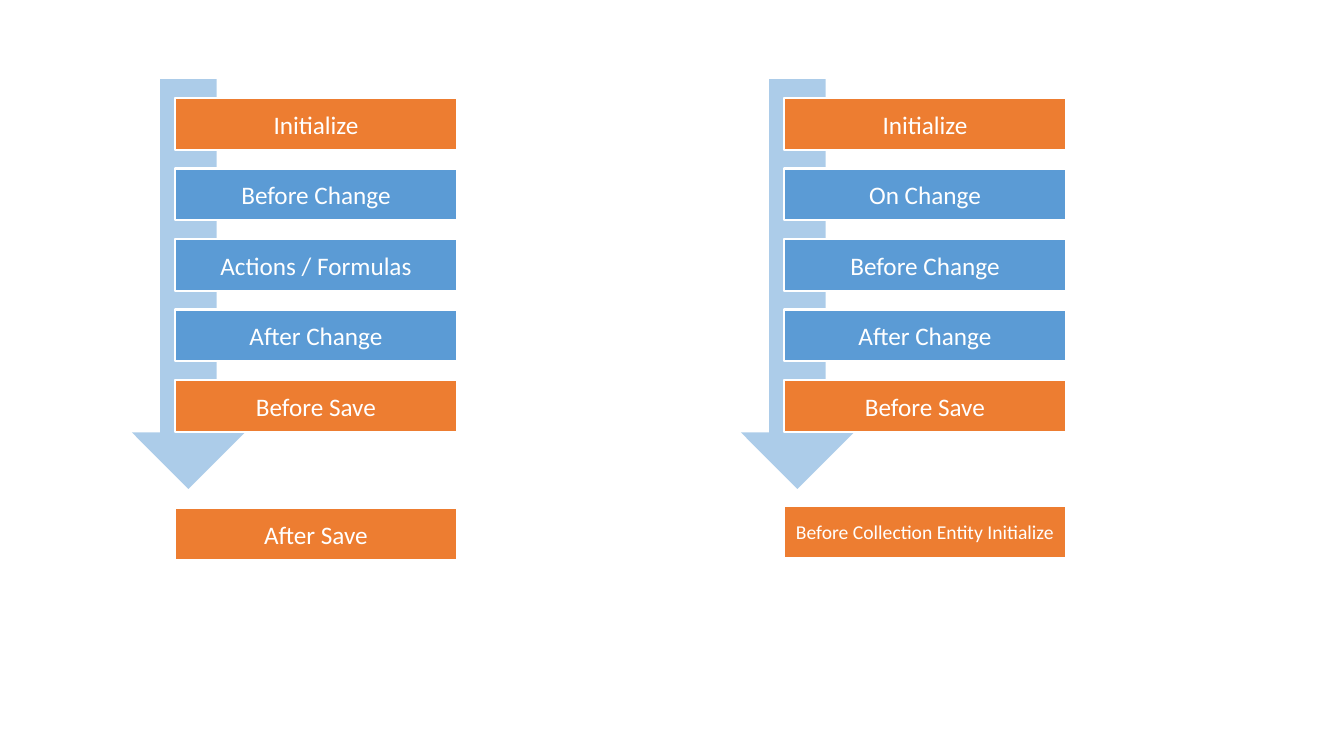
from dataclasses import dataclass

from lxml import etree
from pptx import Presentation, util as u
from pptx.dml.color import RGBColor
from pptx.enum import shapes, text
from pptx.oxml.ns import qn

# Content: ordered steps on each arrow, then the step below it
COLUMNS = [
    {
        "left": 132,
        "steps": [
            ("Initialize", "orange"),
            ("Before Change", "blue"),
            ("Actions / Formulas", "blue"),
            ("After Change", "blue"),
            ("Before Save", "orange"),
        ],
        "final": ("After Save", "orange"),
        "final_top": 508,
        "final_size": 18,
    },
    {
        "left": 741,
        "steps": [
            ("Initialize", "orange"),
            ("On Change", "blue"),
            ("Before Change", "blue"),
            ("After Change", "blue"),
            ("Before Save", "orange"),
        ],
        "final": ("Before Collection Entity Initialize", "orange"),
        "final_top": 506,
        "final_size": 14,
    },
]


@dataclass(frozen=True)
class Theme:
    orange: str = "ED7D31"
    blue: str = "5B9BD5"
    white: str = "FFFFFF"
    font: str = "Calibri"
    step_size: int = 18
    outline: float = 1.5
    arrow_opacity: int = 50


THEME = Theme()

# Layout in px
PX_PER_INCH = 100.8
SLIDE_WIDTH, SLIDE_HEIGHT = 1344, 756
ARROW_TOP, ARROW_WIDTH, ARROW_HEIGHT = 79, 113, 410
STEP_INDENT, STEP_WIDTH, STEP_HEIGHT = 43, 282, 52
FIRST_STEP_TOP, LAST_STEP_TOP = 98, 380


def px(length):
    return u.Inches(length / PX_PER_INCH)


def add_block(page, kind, left, top, width, height, color):
    block = page.shapes.add_shape(kind, px(left), px(top), px(width), px(height))
    block.shadow.inherit = False
    block.fill.solid()
    block.fill.fore_color.rgb = RGBColor.from_string(color)
    return block


def write(box, wording, size=THEME.step_size, color=THEME.white):
    frame = box.text_frame
    frame.word_wrap = True
    frame.vertical_anchor = text.MSO_ANCHOR.MIDDLE
    frame.margin_left = frame.margin_right = px(4)
    para = frame.paragraphs[0]
    para.alignment = text.PP_ALIGN.CENTER
    span = para.add_run()
    span.text = wording
    span.font.name = THEME.font
    span.font.size = u.Pt(size)
    span.font.color.rgb = RGBColor.from_string(color)


def add_arrow(page, left):
    arrow = add_block(page, shapes.MSO_SHAPE.DOWN_ARROW, left, ARROW_TOP,
                      ARROW_WIDTH, ARROW_HEIGHT, THEME.blue)
    arrow.line.fill.background()
    color = arrow.fill._xPr.find(qn("a:solidFill"))[0]
    etree.SubElement(color, qn("a:alpha"), val=str(THEME.arrow_opacity * 1000))


def add_step(page, left, top, step, size=THEME.step_size):
    wording, color_name = step
    box = add_block(page, shapes.MSO_SHAPE.RECTANGLE, left, top,
                    STEP_WIDTH, STEP_HEIGHT, getattr(THEME, color_name))
    box.line.color.rgb = RGBColor.from_string(THEME.white)
    box.line.width = u.Pt(THEME.outline)
    write(box, wording, size=size)


def add_column(page, column):
    add_arrow(page, column["left"])
    step_left = column["left"] + STEP_INDENT
    pitch = (LAST_STEP_TOP - FIRST_STEP_TOP) / (len(column["steps"]) - 1)
    for index, step in enumerate(column["steps"]):
        add_step(page, step_left, FIRST_STEP_TOP + index * pitch, step)
    add_step(page, step_left, column["final_top"], column["final"],
             size=column["final_size"])


def main():
    deck = Presentation()
    deck.slide_width, deck.slide_height = px(SLIDE_WIDTH), px(SLIDE_HEIGHT)
    page = deck.slides.add_slide(deck.slide_layouts[6])
    for column in COLUMNS:
        add_column(page, column)
    deck.save("out.pptx")


if __name__ == "__main__":
    main()
